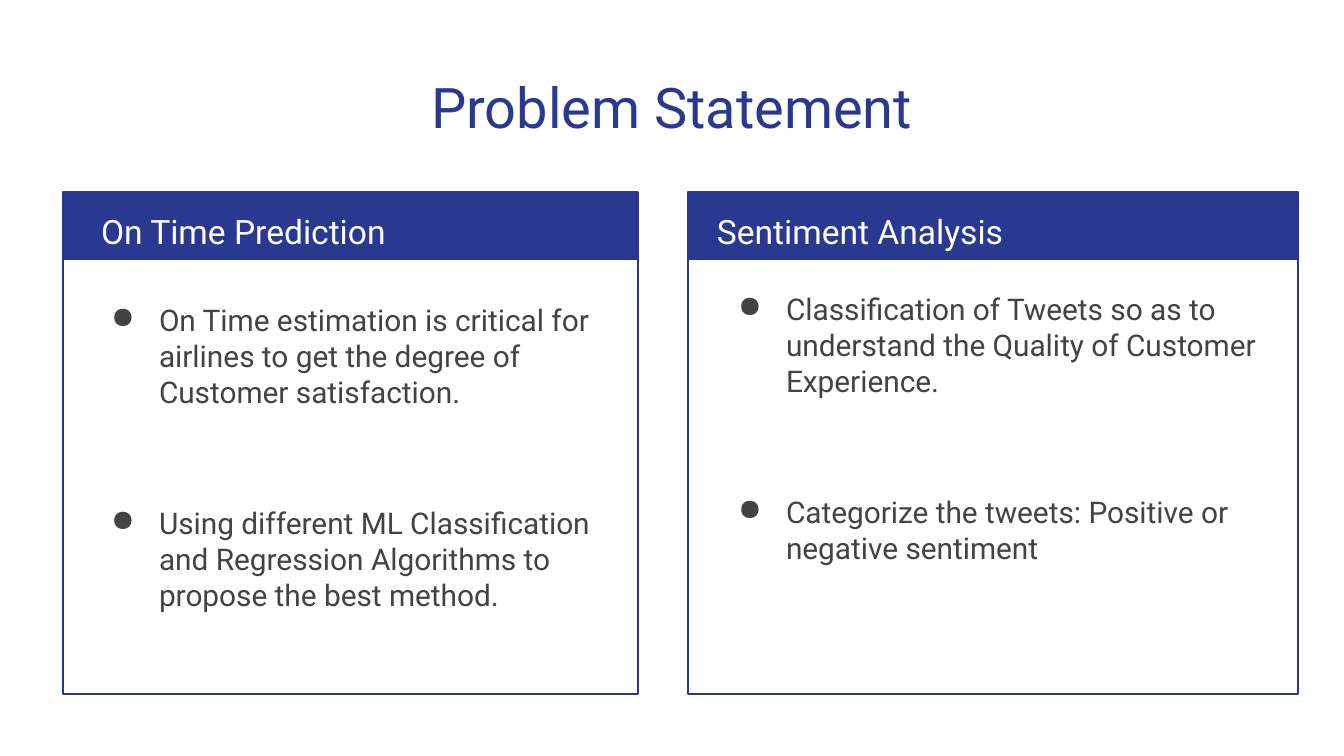
from lxml.etree import SubElement
from pptx import Presentation
from pptx.dml.color import RGBColor
from pptx.enum.shapes import MSO_SHAPE as Shape
from pptx.enum.text import PP_ALIGN as Align
from pptx.oxml.ns import qn
from pptx.util import Pt

TITLE = "Problem Statement"
CARDS = [
    {
        "left": 63, "width": 575, "heading_left": 88, "body": (79, 289, 542),
        "heading": "On Time Prediction",
        "points": [
            "On Time estimation is critical for airlines to get the degree of Customer satisfaction.",
            "Using different ML Classification and Regression Algorithms to propose the best method.",
        ],
    },
    {
        "left": 688, "width": 610, "heading_left": 704, "body": (706, 278, 575),
        "heading": "Sentiment Analysis",
        "points": [
            "Classification of Tweets so as to understand the Quality of Customer Experience.",
            "Categorize the tweets: Positive or negative sentiment",
        ],
    },
]
COLORS = {"navy": "2A3990", "text": "434343", "white": "FFFFFF"}
FONT = "Roboto"
SCALE = 914400 / 134.4
CARD_TOP, CARD_HEIGHT, HEADER_HEIGHT = 192, 502, 68
BODY_HEIGHT = 382
INSET = 13
POINT_GAP = 51
INDENT, HANGING = 67, 48


def px(length):
    return round(length * SCALE)


def color(name):
    return RGBColor.from_string(COLORS[name])


def add_rect(slide, left, top, width, height, filled):
    rect = slide.shapes.add_shape(Shape.RECTANGLE, px(left), px(top), px(width), px(height))
    rect.shadow.inherit = False
    if filled:
        rect.fill.solid()
        rect.fill.fore_color.rgb = color("navy")
        rect.line.fill.background()
    else:
        rect.fill.background()
        rect.line.color.rgb = color("navy")
        rect.line.width = Pt(0.75)


def add_bullet(paragraph):
    properties = paragraph._p.get_or_add_pPr()
    properties.set("marL", str(px(INDENT)))
    properties.set("indent", str(-px(HANGING)))
    SubElement(properties, qn("a:buChar"), char="●")


def add_text(slide, left, top, width, height, lines, size, ink, bulleted=False):
    frame = slide.shapes.add_textbox(px(left), px(top), px(width), px(height)).text_frame
    frame.word_wrap = True
    frame.margin_left = frame.margin_right = px(INSET)
    frame.margin_top = frame.margin_bottom = px(INSET)
    for index, line in enumerate(lines):
        paragraph = frame.add_paragraph() if index else frame.paragraphs[0]
        paragraph.text = line
        if bulleted:
            add_bullet(paragraph)
        if index:
            paragraph.space_before = Pt(POINT_GAP)
        paragraph.font.name = FONT
        paragraph.font.size = Pt(size)
        paragraph.font.color.rgb = color(ink)
    return frame.paragraphs


def add_card(slide, card):
    left, width = card["left"], card["width"]
    add_rect(slide, left, CARD_TOP, width, HEADER_HEIGHT, True)
    add_rect(slide, left, CARD_TOP, width, CARD_HEIGHT, False)
    heading_left = card["heading_left"]
    heading_width = left + width - INSET - heading_left
    heading = add_text(slide, heading_left, CARD_TOP, heading_width, HEADER_HEIGHT,
                       [card["heading"]], 18, "white")
    heading[0].line_spacing = 1.15
    body_left, body_top, body_width = card["body"]
    add_text(slide, body_left, body_top, body_width, BODY_HEIGHT,
             card["points"], 16, "text", True)


def main():
    deck = Presentation()
    deck.slide_width, deck.slide_height = px(1344), px(756)
    slide = deck.slides.add_slide(deck.slide_layouts[6])
    title = add_text(slide, 46, 60, 1252, 89, [TITLE], 30, "navy")
    title[0].alignment = Align.CENTER
    for card in CARDS:
        add_card(slide, card)
    deck.save("out.pptx")


if __name__ == "__main__":
    main()
